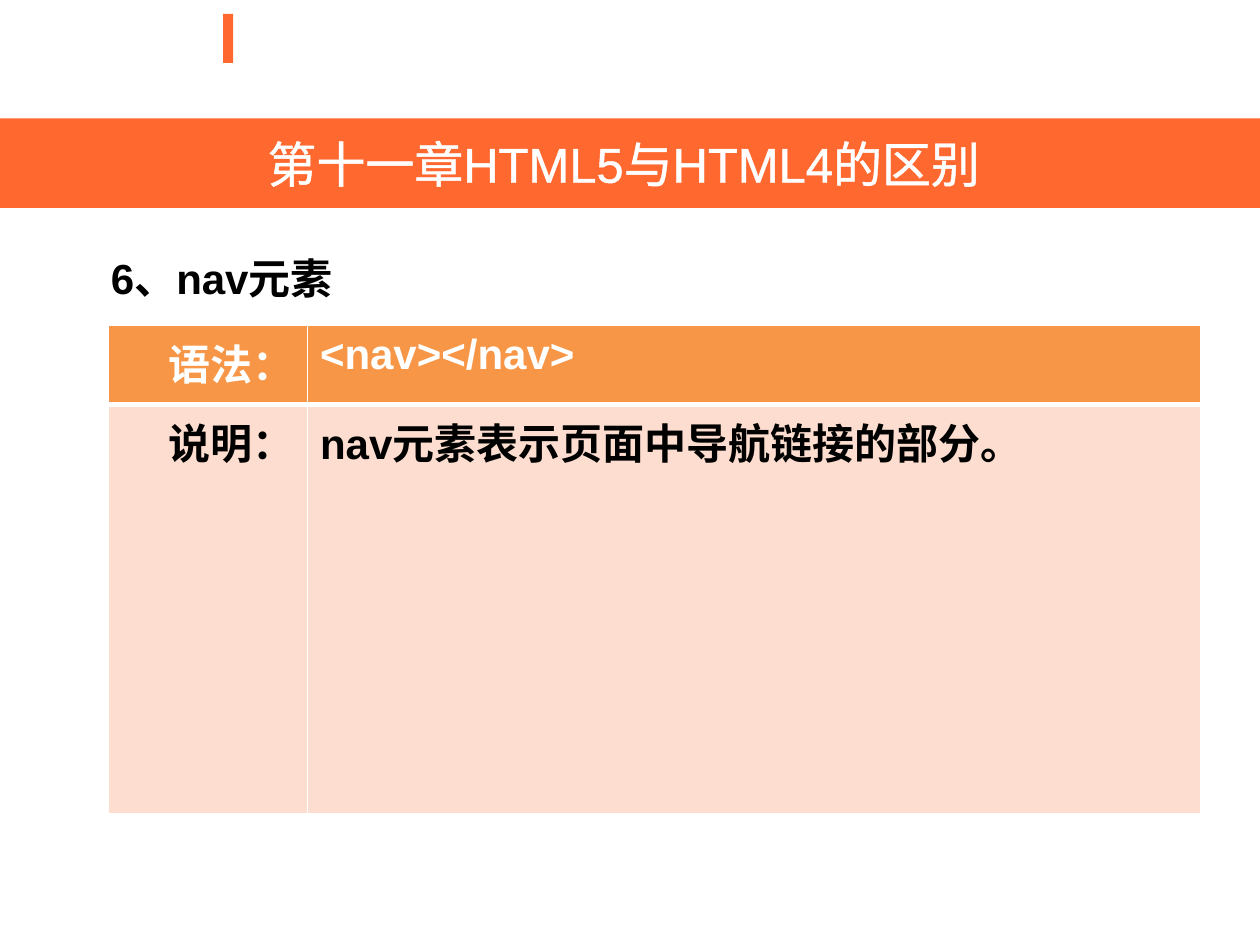
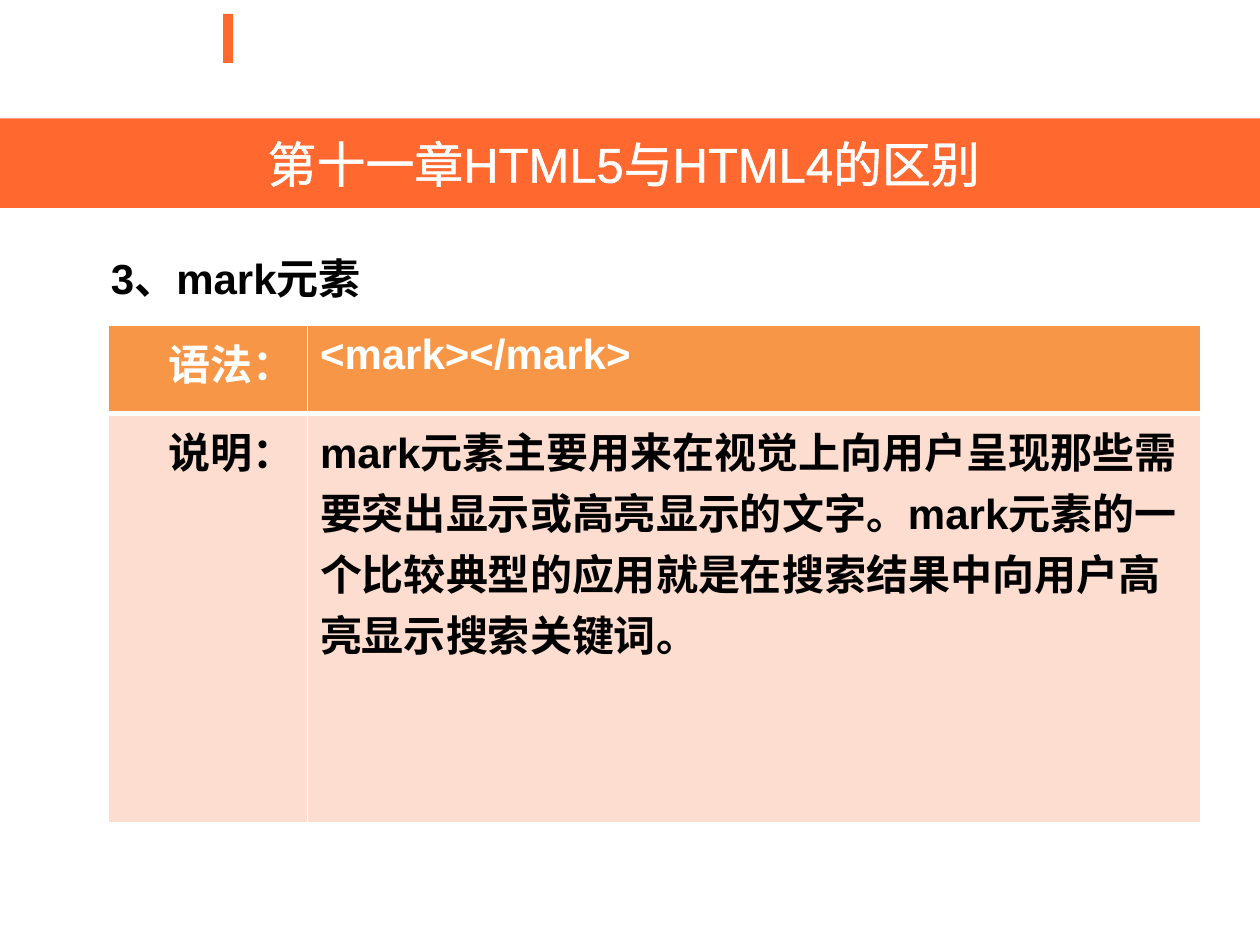
from lxml import etree
from pptx import Presentation
from pptx import util as u
from pptx.dml.color import RGBColor
from pptx.enum import shapes, text
from pptx.oxml import ns

CHAPTER = "第十一章HTML5与HTML4的区别"
LABELS = ("语法：", "说明：")
TOPICS = [
    {"heading": "6、nav元素", "syntax_height": 0.63,
     "values": ("<nav></nav>", "nav元素表示页面中导航链接的部分。")},
    {"heading": "3、mark元素", "syntax_height": 0.7,
     "values": ("<mark></mark>",
                "mark元素主要用来在视觉上向用户呈现那些需要突出显示或高亮显示的文字。"
                "mark元素的一个比较典型的应用就是在搜索结果中向用户高亮显示搜索关键词。")},
]

FONT = "Arial"
ORANGE, WHITE, BLACK = "FF682F", "FFFFFF", "000000"
ROW_STYLES = (("F79646", WHITE), ("FCDDCF", BLACK))
SLIDE = (10, 7.5)
MARKER = (1.77, 0.11, 0.08, 0.39)
BAND = (0, 0.94, SLIDE[0], 0.71)
HEADING = (0.78, 1.95, 7.69, 0.5)
TABLE_AT = (0.86, 2.58)
COLUMNS = (1.58, 7.09)
NOTE_HEIGHT = 3.25
THIN, THICK = 1, 3


def color(value):
    return RGBColor.from_string(value)


def fill(part, value):
    part.fill.solid()
    part.fill.fore_color.rgb = color(value)


def place(shape, box):
    shape.left, shape.top, shape.width, shape.height = map(u.Inches, box)


def add_line(parent, index, tag, width, value):
    ln = etree.Element(ns.qn(tag), w=str(u.Pt(width)))
    solid = etree.SubElement(ln, ns.qn("a:solidFill"))
    etree.SubElement(solid, ns.qn("a:srgbClr"), val=value)
    parent.insert(index, ln)


def write(tf, words, size, value, align, bold):
    p = tf.paragraphs[0]
    p.alignment = align
    p.space_before = u.Pt(0)
    r = p.add_run()
    r.text = words
    r.font.name, r.font.size, r.font.bold = FONT, u.Pt(size), bold
    r.font.color.rgb = color(value)
    return r


def add_marker(s):
    sp = s.shapes.add_shape(shapes.MSO_SHAPE.RECTANGLE, *map(u.Inches, MARKER))
    sp.shadow.inherit = False
    fill(sp, ORANGE)
    sp.line.fill.background()


def add_band(s):
    sp = s.shapes.title
    place(sp, BAND)
    fill(sp, ORANGE)
    tf = sp.text_frame
    tf.auto_size = text.MSO_AUTO_SIZE.NONE
    tf.vertical_anchor = text.MSO_ANCHOR.MIDDLE
    tf.margin_right = u.Inches(0.2)
    r = write(tf, CHAPTER, 28, WHITE, text.PP_ALIGN.CENTER, False)
    add_line(r.font._element, 0, "a:ln", 1.45, WHITE)


def add_heading(s, words):
    sp = s.placeholders[1]
    place(sp, HEADING)
    tf = sp.text_frame
    tf.word_wrap = True
    tf.auto_size = text.MSO_AUTO_SIZE.SHAPE_TO_FIT_TEXT
    pPr = tf.paragraphs[0]._p.get_or_add_pPr()
    pPr.set("marL", "0")
    pPr.set("indent", "0")
    etree.SubElement(pPr, ns.qn("a:buNone"))
    write(tf, words, 24, BLACK, text.PP_ALIGN.LEFT, True)


def add_syntax_table(s, values, syntax_height):
    heights = (syntax_height, NOTE_HEIGHT)
    box = (*TABLE_AT, sum(COLUMNS), sum(heights))
    table = s.shapes.add_table(len(LABELS), len(COLUMNS), *map(u.Inches, box)).table
    table.horz_banding = False
    for column, width in zip(table.columns, COLUMNS):
        column.width = u.Inches(width)
    for i, row in enumerate(table.rows):
        row.height = u.Inches(heights[i])
        background, ink = ROW_STYLES[i]
        top, bottom = (THIN, THICK) if i == 0 else (THICK, THIN)
        borders = {"a:lnL": THIN, "a:lnR": THIN, "a:lnT": top, "a:lnB": bottom}
        aligns = (text.PP_ALIGN.RIGHT, text.PP_ALIGN.LEFT)
        for cell, words, align in zip(row.cells, (LABELS[i], values[i]), aligns):
            fill(cell, background)
            write(cell.text_frame, words, 24, ink, align, True)
            tcPr = cell._tc.get_or_add_tcPr()
            for k, (tag, width) in enumerate(borders.items()):
                add_line(tcPr, k, tag, width, WHITE)


def main():
    prs = Presentation()
    prs.slide_width, prs.slide_height = map(u.Inches, SLIDE)
    for topic in TOPICS:
        s = prs.slides.add_slide(prs.slide_layouts[1])
        add_marker(s)
        add_band(s)
        add_syntax_table(s, topic["values"], topic["syntax_height"])
        add_heading(s, topic["heading"])
    prs.save("out.pptx")


if __name__ == "__main__":
    main()
